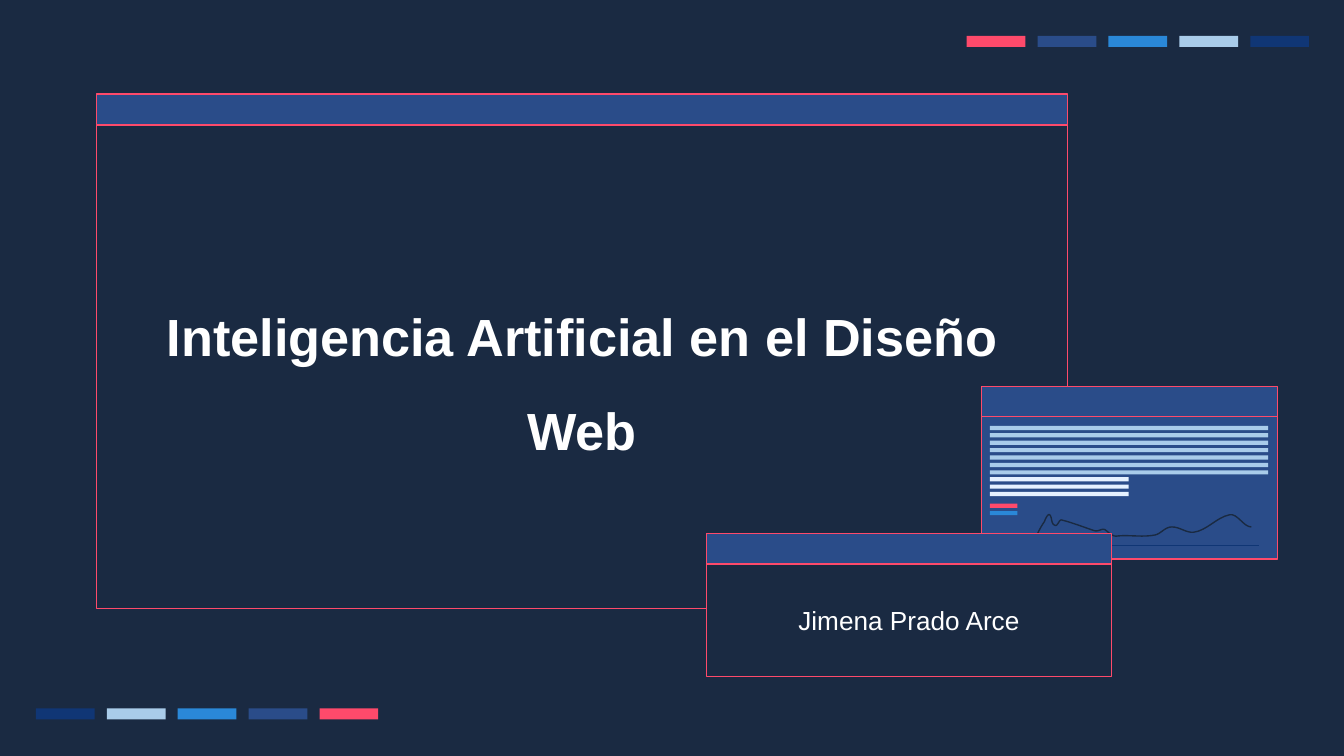
from dataclasses import dataclass
from typing import NamedTuple, Optional

from lxml.etree import SubElement
from pptx import Presentation
from pptx.dml.color import RGBColor
from pptx.enum.shapes import MSO_CONNECTOR, MSO_SHAPE
from pptx.enum.text import MSO_ANCHOR, MSO_AUTO_SIZE, PP_ALIGN
from pptx.oxml.ns import qn
from pptx.util import Cm, Pt


@dataclass(frozen=True)
class Theme:
    night: str = "1A2A42"
    red: str = "FE4A6B"
    blue: str = "2A4C89"
    azure: str = "2A88D8"
    sky: str = "A9CCEA"
    navy: str = "103675"
    ice: str = "E5F1FF"
    white: str = "FFFFFF"
    font: str = "Arial"
    title_size: int = 28
    subtitle_size: int = 14
    line: float = 0.75


class Box(NamedTuple):
    """A rectangle in centimetres."""
    x: float
    y: float
    w: float
    h: float


class Stripes(NamedTuple):
    """A run of equal text lines inside the small window."""
    y: float
    w: float
    colors: list


T = Theme()
BAR_H = 0.58  # title bar of a window
PALETTE = [T.red, T.blue, T.azure, T.sky, T.navy]


def rgb(color: str) -> RGBColor:
    return RGBColor.from_string(color)


def style(sp, fill: Optional[str], line: Optional[str]) -> None:
    if fill:
        sp.fill.solid()
        sp.fill.fore_color.rgb = rgb(fill)
    else:
        sp.fill.background()
    if line:
        sp.line.color.rgb = rgb(line)
        sp.line.width = Pt(T.line)
    else:
        sp.line.fill.background()


def rect(shapes, box: Box, fill: str, line: Optional[str] = None) -> None:
    sp = shapes.add_shape(MSO_SHAPE.RECTANGLE, *map(Cm, box))
    sp.shadow.inherit = False
    style(sp, fill, line)


def rule(shapes, x1: float, x2: float, y: float, color: str) -> None:
    cx = shapes.add_connector(MSO_CONNECTOR.STRAIGHT, Cm(x1), Cm(y), Cm(x2), Cm(y))
    cx.line.color.rgb = rgb(color)
    cx.line.width = Pt(T.line)
    SubElement(cx._element.spPr, qn("a:effectLst"))


def swatches(shapes, x: float, y: float, colors: list) -> None:
    for i, color in enumerate(colors):
        rect(shapes, Box(x + i * 1.34, y, 1.11, 0.21), color)


def curve(shapes, start: tuple, segments: list, color: str, steps: int = 8) -> None:
    """Draw joined cubic Béziers as a fine open polyline."""
    points, p0 = [], start
    for x1, y1, x2, y2, x3, y3 in segments:
        ctrl = (p0, (x1, y1), (x2, y2), (x3, y3))
        for k in range(1, steps + 1):
            t = k / steps
            weights = ((1 - t) ** 3, 3 * t * (1 - t) ** 2, 3 * t * t * (1 - t), t ** 3)
            points.append(tuple(Cm(sum(w * c[axis] for w, c in zip(weights, ctrl)))
                                for axis in (0, 1)))
        p0 = (x3, y3)
    fb = shapes.build_freeform(Cm(start[0]), Cm(start[1]))
    fb.add_line_segments(points, close=False)
    sp = fb.convert_to_shape()
    sp.shadow.inherit = False
    style(sp, None, color)


def text_window(sp, box: Box, text: str, size: int, bold: bool, spacing: float) -> None:
    """Fill a placeholder as the body of a window."""
    sp.left, sp.top, sp.width, sp.height = map(Cm, box)
    style(sp, T.night, T.red)
    tf = sp.text_frame
    tf.text = text
    tf.word_wrap = True
    tf.auto_size = MSO_AUTO_SIZE.NONE
    tf.vertical_anchor = MSO_ANCHOR.MIDDLE
    tf.margin_left = tf.margin_right = tf.margin_top = tf.margin_bottom = Cm(0.25)
    p = tf.paragraphs[0]
    p.alignment = PP_ALIGN.CENTER
    p.line_spacing = spacing
    p.space_before = Pt(0)
    font = p.runs[0].font
    font.name, font.size, font.bold = T.font, Pt(size), bold
    font.color.rgb = rgb(T.white)


def title_bar(shapes, body: Box) -> None:
    rect(shapes, Box(body.x, body.y - BAR_H, body.w, BAR_H), T.blue, T.red)


TITLE = Box(1.82, 2.36, 18.36, 9.14)
AUTHOR = Box(13.35, 10.66, 7.66, 2.13)
MINI = Box(18.55, 7.31, 5.59, 3.26)
STRIPES = [
    Stripes(8.05, 5.26, [T.sky] * 7),
    Stripes(9.02, 2.62, [T.ice] * 3),
    Stripes(9.52, 0.52, [T.red, T.azure]),
]
WAVE_START = (19.58, 10.16)
WAVE = [
    (19.63, 10.03, 19.69, 9.93, 19.74, 9.86),
    (19.76, 9.8, 19.81, 9.7, 19.84, 9.73),
    (19.89, 9.78, 19.86, 9.91, 19.94, 9.93),
    (19.99, 9.96, 20.02, 9.8, 20.07, 9.83),
    (20.27, 9.88, 20.47, 9.96, 20.68, 10.03),
    (20.75, 10.06, 20.83, 9.98, 20.88, 10.01),
    (20.96, 10.06, 21.03, 10.16, 21.13, 10.13),
    (21.36, 10.11, 21.62, 10.16, 21.84, 10.11),
    (21.95, 10.08, 22.02, 9.96, 22.15, 9.96),
    (22.3, 9.96, 22.43, 10.08, 22.56, 10.06),
    (22.81, 10.03, 22.99, 9.78, 23.24, 9.73),
    (23.39, 9.7, 23.5, 9.96, 23.65, 9.96),
]


def mini_window(shapes) -> None:
    rect(shapes, MINI, T.blue, T.red)
    curve(shapes, WAVE_START, WAVE, T.night)
    rule(shapes, 19.48, 23.8, 10.31, T.navy)
    rule(shapes, MINI.x, MINI.x + MINI.w, 7.87, T.red)
    for group in STRIPES:
        for i, color in enumerate(group.colors):
            rect(shapes, Box(18.71, group.y + i * 0.14, group.w, 0.08), color)


def main() -> None:
    prs = Presentation()
    prs.slide_width, prs.slide_height = Cm(25.4), Cm(14.29)
    s = prs.slides.add_slide(prs.slide_layouts[0])
    s.background.fill.solid()
    s.background.fill.fore_color.rgb = rgb(T.night)
    title, subtitle = s.shapes.title, s.placeholders[1]

    # Main window
    text_window(title, TITLE, "Inteligencia Artificial en el Diseño Web",
                T.title_size, True, 1.5)
    title_bar(s.shapes, TITLE)

    # Colour strips in the corners
    swatches(s.shapes, 18.27, 0.68, PALETTE)
    swatches(s.shapes, 0.68, 13.39, PALETTE[::-1])

    # Small window with text lines and a wave
    mini_window(s.shapes)

    # Author window, in front of the small one
    s.shapes._spTree.append(subtitle._element)
    text_window(subtitle, AUTHOR, "Jimena Prado Arce", T.subtitle_size, False, 1.0)
    title_bar(s.shapes, AUTHOR)

    prs.save("out.pptx")


if __name__ == "__main__":
    main()
